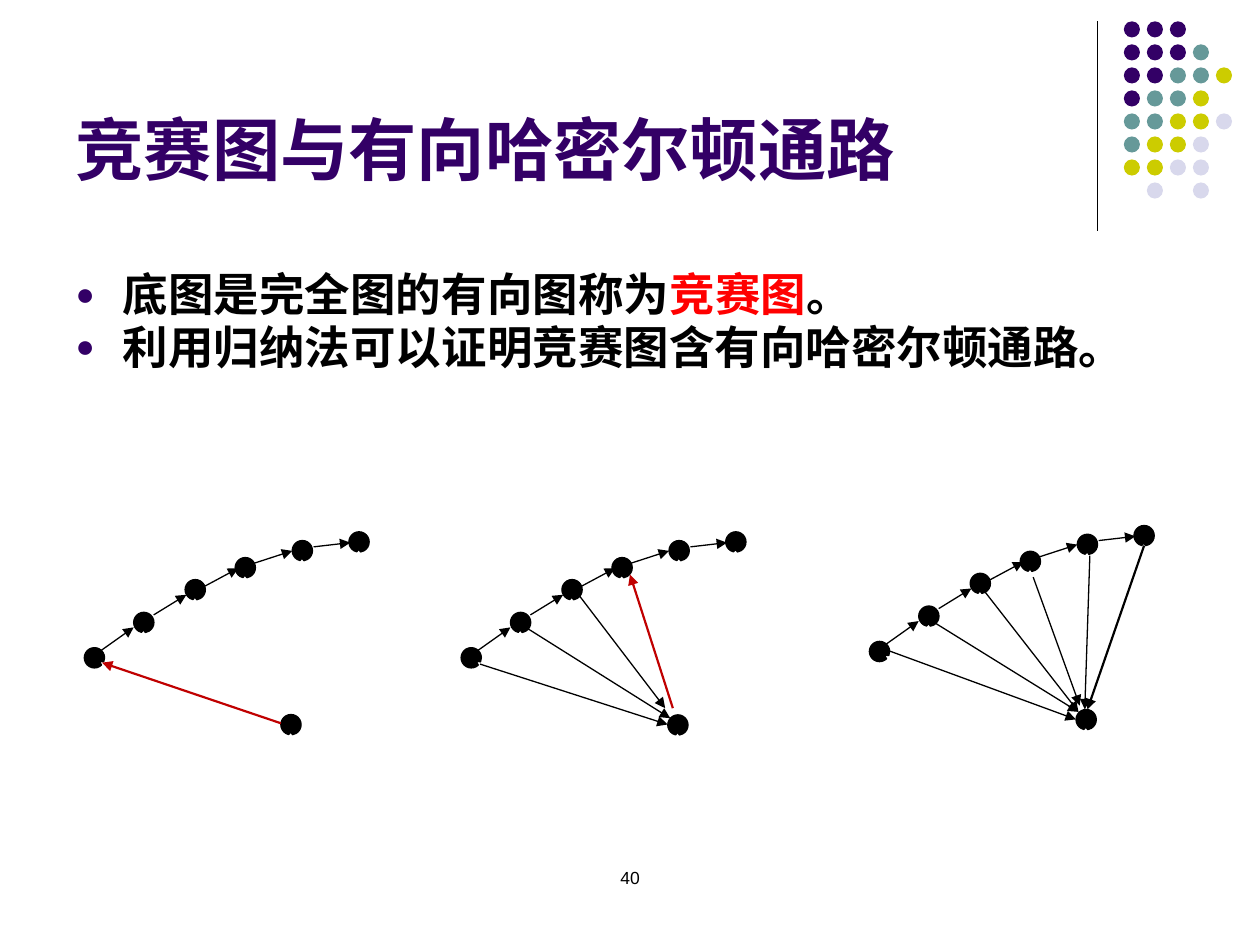
"""Build a slide on tournament graphs and directed Hamiltonian paths."""
from lxml.etree import SubElement
from pptx import Presentation
from pptx.dml.color import RGBColor
from pptx.enum.shapes import MSO_CONNECTOR, MSO_SHAPE
from pptx.enum.text import MSO_ANCHOR, PP_ALIGN
from pptx.oxml.ns import qn
from pptx.util import Pt

COLORS = {
    "purple": "330066", "teal": "669999", "olive": "CCCC00", "lilac": "D8D8EC",
    "black": "000000", "red": "FF0000", "dark_red": "C00000",
}
DOT_ROWS = ["PPP", "PPPT", "PPTTO", "PTTO", "TTOOL", "TOOL", "OOLL", " L L"]
DOT_COLORS = {"P": "purple", "T": "teal", "O": "olive", "L": "lilac"}
DOT_SIZE, DOT_PITCH = 9.2, 13.15
NODE_SIZE = 11.6
PATH_NODES = [(0, 0), (28.2, -20.2), (57.6, -38.9),
              (86.2, -51.5), (118.8, -61.2), (151.2, -66.2)]
PATH_EDGES = [(9.6, 1.6, 28.2, -11.6), (39.6, -18.7, 58.3, -30.2),
              (69, -35.2, 88, -45.4), (97.2, -48.3, 118.8, -55.3),
              (131, -57.6, 152, -60)]
GRAPHS = [
    {"origin": (48.2, 370.1), "new_node": (112.3, 38.2),
     "key_edge": (112.3, 43.2, 10.1, 8.6), "key_color": "dark_red", "edges": []},
    {"origin": (263.5, 370.1), "new_node": (118.1, 38.4),
     "key_edge": (121, 34.6, 96.5, -41.8), "key_color": "dark_red",
     "edges": [(10.8, 9.4, 118, 43.9), (38.2, -10.8, 119.5, 40.3),
               (67.7, -29.5, 116.6, 34.6)]},
    {"origin": (496.8, 366.5), "new_node": (118.1, 38.9),
     "key_edge": (157, -54.7, 124.6, 38.9), "key_color": "black",
     "edges": [(10.1, 5, 118, 44.6), (38.2, -10.1, 119.5, 40.3),
               (66.2, -28.1, 119.5, 40.3), (93.6, -36.7, 120.2, 36.7),
               (126, -49, 123.1, 38.9)]},
]
BULLETS = [
    [("底图是完全图的有向图称为", "black"), ("竞赛图", "red"), ("。", "black")],
    [("利用归纳法可以证明竞赛图含有向哈密尔顿通路。", "black")],
]

presentation = Presentation()
presentation.slide_width, presentation.slide_height = Pt(720), Pt(540)
slide = presentation.slides.add_slide(presentation.slide_layouts[1])
shapes = slide.shapes


def add_line(x1, y1, x2, y2, color="black", width=0.75, arrow=True):
    line = shapes.add_connector(MSO_CONNECTOR.STRAIGHT, Pt(x1), Pt(y1), Pt(x2), Pt(y2))
    line.line.color.rgb = RGBColor.from_string(COLORS[color])
    line.line.width = Pt(width)
    if arrow:
        SubElement(line.line._get_or_add_ln(), qn("a:tailEnd"), type="triangle")
    SubElement(line._element.spPr, qn("a:effectLst"))


def add_run(paragraph, text, font_name, size, color, bold=True):
    run = paragraph.add_run()
    run.text = text
    run.font.name, run.font.size, run.font.bold = font_name, Pt(size), bold
    run.font.color.rgb = RGBColor.from_string(COLORS[color])


add_line(627.1, 12.2, 627.1, 131.8, arrow=False)
for row, letters in enumerate(DOT_ROWS):
    for column, letter in enumerate(letters):
        if letter in DOT_COLORS:
            dot = shapes.add_shape(
                MSO_SHAPE.OVAL, Pt(642.2 + column * DOT_PITCH),
                Pt(12.2 + row * DOT_PITCH), Pt(DOT_SIZE), Pt(DOT_SIZE))
            dot.shadow.inherit = False
            dot.fill.solid()
            dot.fill.fore_color.rgb = RGBColor.from_string(COLORS[DOT_COLORS[letter]])
            dot.line.fill.background()

title = shapes.title
title.left, title.top, title.width, title.height = Pt(36), Pt(9.4), Pt(594), Pt(102.2)
title.text_frame.vertical_anchor = MSO_ANCHOR.BOTTOM
title_paragraph = title.text_frame.paragraphs[0]
title_paragraph.alignment = PP_ALIGN.LEFT
add_run(title_paragraph, "竞赛图与有向哈密尔顿通路", "Arial", 39, "purple")

body = slide.placeholders[1]
body.left, body.top, body.width, body.height = Pt(36), Pt(151.9), Pt(641.5), Pt(100.8)
for index, runs in enumerate(BULLETS):
    frame = body.text_frame
    paragraph = frame.add_paragraph() if index else frame.paragraphs[0]
    paragraph.alignment = PP_ALIGN.JUSTIFY
    paragraph.line_spacing = 0.9
    paragraph.space_before = Pt(2)
    properties = paragraph._p.get_or_add_pPr()
    properties.set("marL", str(Pt(27)))
    properties.set("indent", str(-Pt(27)))
    bullet_color = SubElement(properties, qn("a:buClr"))
    SubElement(bullet_color, qn("a:srgbClr"), val=COLORS["purple"])
    SubElement(properties, qn("a:buSzPct"), val="70000")
    SubElement(properties, qn("a:buFont"), typeface="Arial")
    SubElement(properties, qn("a:buChar"), char="●")
    for text, color in runs:
        add_run(paragraph, text, "Times New Roman", 26, color)

for graph in GRAPHS:
    left, top = graph["origin"]
    for index, (x, y) in enumerate(PATH_NODES + [graph["new_node"]]):
        node = shapes.add_shape(MSO_SHAPE.OVAL_CALLOUT, Pt(left + x), Pt(top + y),
                                Pt(NODE_SIZE), Pt(NODE_SIZE))
        node.adjustments[0], node.adjustments[1] = (-0.014, 0.366) if index else (0.245, 0.171)
        node.shadow.inherit = False
        node.fill.solid()
        node.fill.fore_color.rgb = RGBColor.from_string(COLORS["black"])
        node.line.color.rgb = RGBColor.from_string(COLORS["black"])
        node.line.width = Pt(0.75)
    styled_edges = [(edge, "black", 0.75) for edge in PATH_EDGES + graph["edges"]]
    styled_edges.append((graph["key_edge"], graph["key_color"], 1.25))
    for (x1, y1, x2, y2), color, width in styled_edges:
        add_line(left + x1, top + y1, left + x2, top + y2, color, width)

page_number = shapes.add_textbox(Pt(276), Pt(492), Pt(168), Pt(36))
page_number.text_frame.word_wrap = True
number_paragraph = page_number.text_frame.paragraphs[0]
number_paragraph.alignment = PP_ALIGN.CENTER
add_run(number_paragraph, "40", "Arial", 10, "black", bold=False)

presentation.save("out.pptx")
